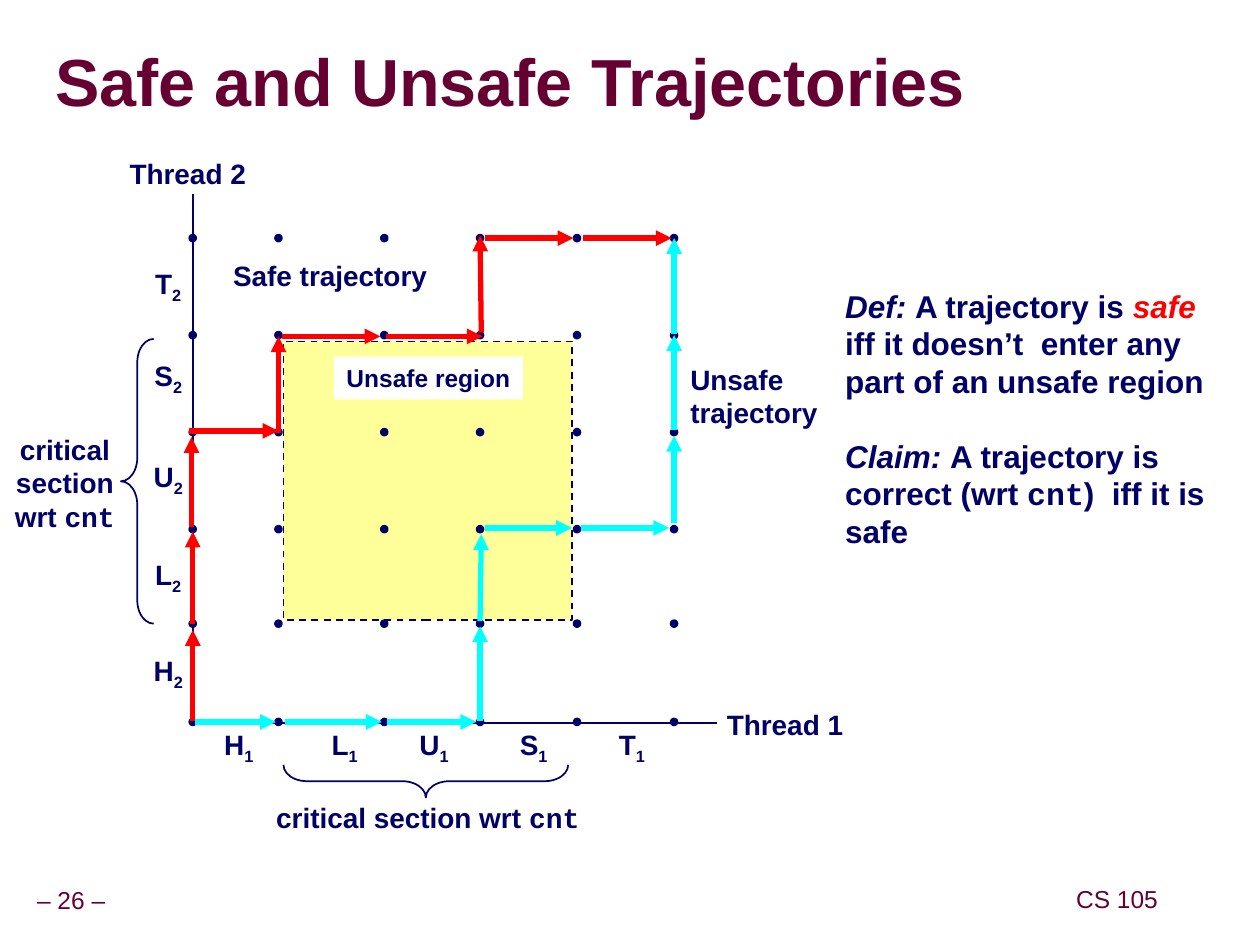
"""Builds the slide on safe and unsafe trajectories in a progress graph."""
from lxml.etree import SubElement
from pptx import Presentation
from pptx.dml.color import RGBColor
from pptx.enum.dml import MSO_LINE
from pptx.enum.shapes import MSO_CONNECTOR, MSO_SHAPE
from pptx.enum.text import MSO_ANCHOR, PP_ALIGN
from pptx.oxml.ns import qn
from pptx.util import Inches, Pt

COLORS = {"navy": "000066", "maroon": "660033", "red": "FF0000",
          "cyan": "00FFFF", "yellow": "FFFF99", "white": "FFFFFF"}
RGB = {name: RGBColor.from_string(value) for name, value in COLORS.items()}

prs = Presentation()
prs.slide_width, prs.slide_height = Inches(10), Inches(7.5)
s = prs.slides.add_slide(prs.slide_layouts[5])


def add_text(at, lines, size=16, color="navy", bold=True, align=PP_ALIGN.CENTER, wrap=False):
    """Adds a text box; each line is a list of (text, style) runs."""
    sp = s.shapes.add_textbox(*map(Inches, at))
    tf = sp.text_frame
    tf.word_wrap = wrap
    tf.vertical_anchor = MSO_ANCHOR.MIDDLE
    if not wrap:
        tf.margin_right = 0
        if align == PP_ALIGN.CENTER:
            tf.margin_left = 0
    for i, runs in enumerate(lines):
        p = tf.paragraphs[0] if i == 0 else tf.add_paragraph()
        p.alignment = align
        for text, style in runs:
            r = p.add_run()
            r.text = text
            r.font.name = "Courier New" if style == "code" else "Arial"
            r.font.size = Pt(size)
            r.font.bold = bold
            r.font.italic = style in ("italic", "safe")
            r.font.color.rgb = RGB["red" if style == "safe" else color]
            if style == "sub":
                r.font._element.set("baseline", "-25000")
    return sp


def add_line(x1, y1, x2, y2, color, width, arrow=False):
    """Adds a straight line, with an arrowhead at its end if asked."""
    sp = s.shapes.add_connector(MSO_CONNECTOR.STRAIGHT, *map(Inches, (x1, y1, x2, y2)))
    sp.line.color.rgb = RGB[color]
    sp.line.width = Pt(width)
    if arrow:
        SubElement(sp.line._get_or_add_ln(), qn("a:tailEnd"), type="triangle")
    SubElement(sp._element.spPr, qn("a:effectLst"))


for at, text in [((-0.09, 7, 1.31, 0.31), "– 26 –"), ((8.49, 6.99, 0.75, 0.31), "CS 105")]:
    footer = add_text(at, [[(text, "")]], 14, "maroon", bold=False)
    footer.text_frame.paragraphs[0].line_spacing = 0.9

title = s.shapes.title
title.left, title.top, title.width, title.height = map(Inches, (0.44, 0.27, 7.81, 0.82))
tf = title.text_frame
tf.text = "Safe and Unsafe Trajectories"
tf.margin_left = tf.margin_right = tf.margin_top = tf.margin_bottom = 0
tf.vertical_anchor = MSO_ANCHOR.MIDDLE
p = tf.paragraphs[0]
p.alignment = PP_ALIGN.LEFT
p.line_spacing = 0.87
font = p.runs[0].font
font.name, font.size, font.bold = "Arial", Pt(38), True
font.color.rgb = RGB["maroon"]

definition = add_text((6.61, 1.61, 3.27, 3.72), [
    [("Def: ", "italic"), ("A trajectory is ", ""), ("safe", "safe")],
    [("iff it doesn’t  enter any", "")],
    [("part of an unsafe region", "")],
    [("Claim: ", "italic"), ("A trajectory is", "")],
    [("correct (wrt ", ""), ("cnt", "code"), (")  iff it is", "")],
    [("safe", "")],
], 18, align=PP_ALIGN.LEFT, wrap=True)
definition.text_frame.margin_top = 0
definition.text_frame.margin_bottom = Inches(0.3)
definition.text_frame.paragraphs[3].space_before = Pt(21)

region = s.shapes.add_shape(MSO_SHAPE.RECTANGLE, *map(Inches, (2.25, 2.71, 2.29, 2.21)))
region.shadow.inherit = False
region.fill.solid()
region.fill.fore_color.rgb = RGB["yellow"]
region.line.color.rgb = RGB["navy"]
region.line.width = Pt(1)
region.line.dash_style = MSO_LINE.DASH

add_line(1.53, 5.74, 5.69, 5.74, "navy", 1)
add_line(1.53, 5.74, 1.53, 1.54, "navy", 1)

for letter, x, y in zip("HLUST", (1.68, 2.52, 3.23, 4.02, 4.8), (5.13, 4.37, 3.59, 2.79, 2.06)):
    add_text((x, 5.72, 0.43, 0.41), [[(letter, ""), ("1", "sub")]])
    add_text((1.12, y, 0.43, 0.41), [[(letter, ""), ("2", "sub")]])

DOT = 0.04
for x in (1.53, 2.21, 3.05, 3.81, 4.58, 5.35):
    for y in (5.73, 4.95, 4.2, 3.43, 2.66, 1.89):
        dot = s.shapes.add_shape(MSO_SHAPE.OVAL, Inches(x - DOT / 2), Inches(y - DOT / 2),
                                 Inches(DOT), Inches(DOT))
        dot.shadow.inherit = False
        dot.fill.solid()
        dot.fill.fore_color.rgb = RGB["navy"]
        dot.line.color.rgb = RGB["navy"]
        dot.line.width = Pt(2)

label = add_text((2.65, 2.83, 1.5, 0.34), [[("Unsafe region", "")]], 14)
label.fill.solid()
label.fill.fore_color.rgb = RGB["white"]

trajectories = {
    "cyan": [(1.55, 5.73, 2.19, 5.73), (2.26, 5.73, 3.03, 5.73), (3.07, 5.73, 3.78, 5.73),
             (3.81, 5.72, 3.81, 4.97), (3.81, 4.93, 3.82, 4.24), (3.85, 4.19, 4.54, 4.19),
             (4.61, 4.19, 5.31, 4.19), (5.35, 4.15, 5.35, 3.46), (5.35, 3.41, 5.35, 2.66),
             (5.35, 2.65, 5.35, 1.89)],
    "red": [(1.53, 5.72, 1.53, 5), (1.53, 4.95, 1.53, 4.22), (1.52, 4.18, 1.52, 3.47),
            (1.5, 3.42, 2.21, 3.42), (2.21, 3.44, 2.21, 2.67), (2.24, 2.67, 3.02, 2.67),
            (3.06, 2.67, 3.83, 2.67), (3.82, 2.64, 3.81, 1.87), (3.85, 1.89, 4.55, 1.89),
            (4.63, 1.89, 5.33, 1.89)],
}
for color, steps in trajectories.items():
    for step in steps:
        add_line(*step, color, 3, arrow=True)

for x, y, angle in [(0.96, 2.69, 0), (3.25, 5.07, 270)]:
    brace = s.shapes.add_shape(MSO_SHAPE.LEFT_BRACE, *map(Inches, (x, y, 0.26, 2.26)))
    brace.adjustments[0] = 0.72
    brace.rotation = angle
    brace.shadow.inherit = False
    brace.fill.background()
    brace.line.color.rgb = RGB["navy"]
    brace.line.width = Pt(1)

add_text((5.67, 5.56, 1.12, 0.37), [[("Thread 1", "")]])
add_text((0.93, 1.19, 1.12, 0.37), [[("Thread 2", "")]])
add_text((1.75, 2, 1.74, 0.37), [[("Safe trajectory", "")]])
add_text((5.38, 2.82, 1.21, 0.64), [[("Unsafe", "")], [("trajectory", "")]], align=PP_ALIGN.LEFT)
critical = [[("critical section wrt ", ""), ("cnt", "code")]]
add_text((2.09, 6.3, 2.61, 0.37), critical)
add_text((0, 3.38, 1.03, 0.9), critical, wrap=True)

prs.save("out.pptx")
